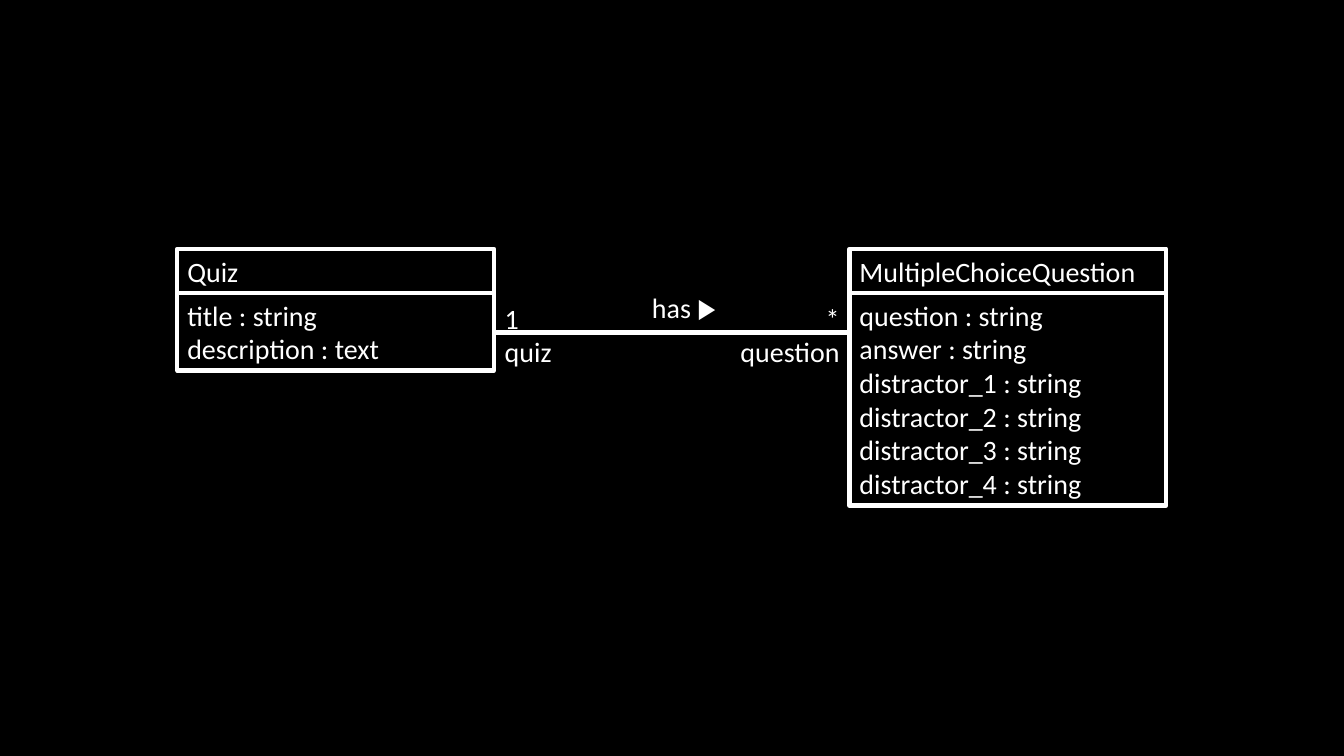
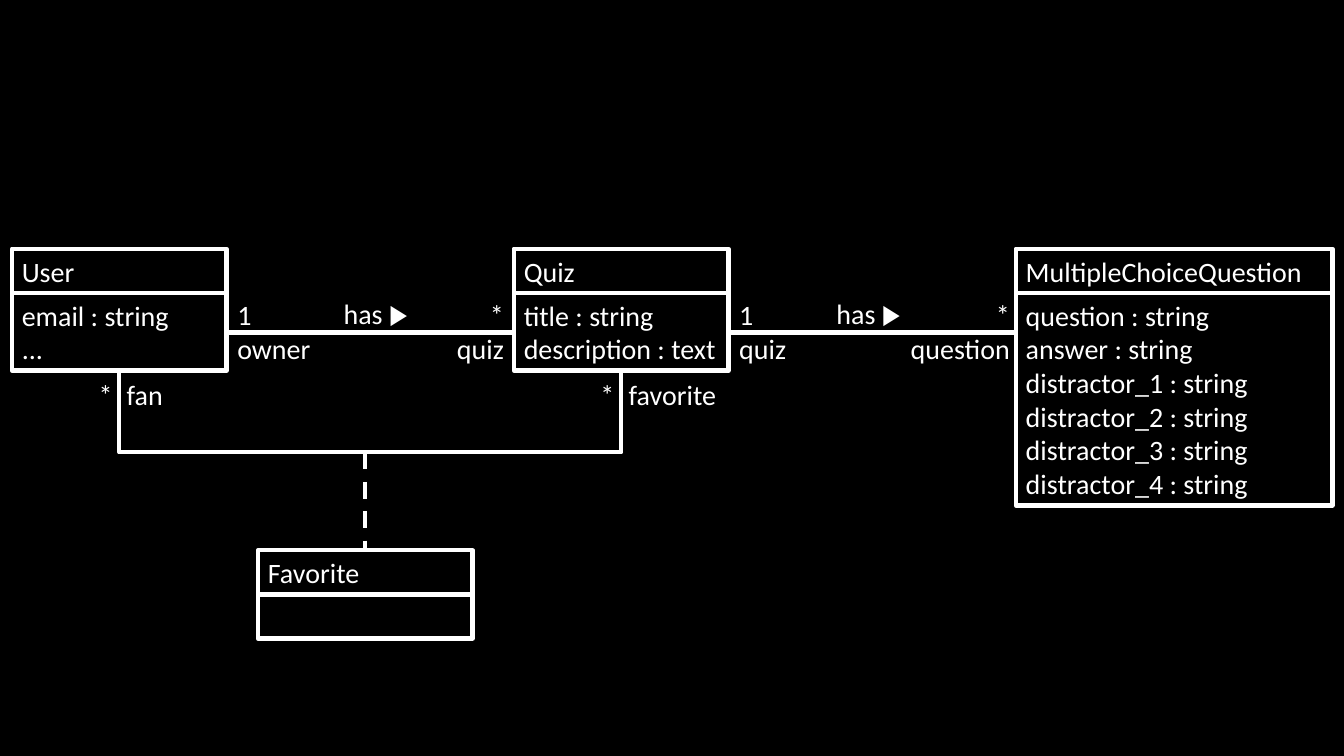
from dataclasses import dataclass

from lxml.etree import SubElement
from pptx import Presentation
from pptx.dml.color import RGBColor
from pptx.enum.dml import MSO_LINE
from pptx.enum.shapes import MSO_CONNECTOR, MSO_SHAPE
from pptx.enum.text import MSO_ANCHOR, PP_ALIGN
from pptx.oxml.ns import qn
from pptx.util import Cm, Pt


@dataclass(frozen=True)
class Theme:
    background: RGBColor = RGBColor(0, 0, 0)
    ink: RGBColor = RGBColor(255, 255, 255)
    font: str = "Calibri"
    size: Pt = Pt(20)
    stroke: Pt = Pt(3)


THEME = Theme()
CLASS_TOP = 6.27
LINK_Y = 8.38
ROLE_WIDTH = 3.05
WIDE, NARROW = 7.98, 5.41

QUIZ = ["title : string", "description : text"]
QUESTION = ["question : string", "answer : string"] + [
    f"distractor_{number} : string" for number in range(1, 5)
]


def text_height(lines):
    return 0.26 + 0.85 * max(1, len(lines))


def write(frame, lines, align=PP_ALIGN.LEFT, anchor=MSO_ANCHOR.TOP):
    frame.word_wrap = True
    frame.vertical_anchor = anchor
    frame.text = "\n".join(lines)
    for paragraph in frame.paragraphs:
        paragraph.alignment = align
        paragraph.font.name = THEME.font
        paragraph.font.size = THEME.size
        paragraph.font.color.rgb = THEME.ink


def draw_stroke(line):
    line.color.rgb = THEME.ink
    line.width = THEME.stroke


def outline(shape):
    shape.shadow.inherit = False
    shape.fill.background()
    draw_stroke(shape.line)


def add_label(slide, left, top, lines, align=PP_ALIGN.LEFT, width=ROLE_WIDTH):
    label = slide.shapes.add_textbox(
        Cm(left), Cm(top), Cm(width), Cm(text_height(lines))
    )
    write(label.text_frame, lines, align)


def add_class(slide, name, attributes, left, width, top=CLASS_TOP):
    compartments = slide.shapes.add_group_shape().shapes
    for lines in ([name], attributes):
        height = text_height(lines)
        compartment = compartments.add_shape(
            MSO_SHAPE.RECTANGLE, Cm(left), Cm(top), Cm(width), Cm(height)
        )
        outline(compartment)
        write(compartment.text_frame, lines, anchor=MSO_ANCHOR.MIDDLE)
        top += height


def add_link(slide, start, end, dash=None):
    link = slide.shapes.add_connector(
        MSO_CONNECTOR.STRAIGHT, *(Cm(value) for value in start + end)
    )
    draw_stroke(link.line)
    if dash:
        link.line.dash_style = dash
    SubElement(link._element.spPr, qn("a:effectLst"))


def add_association(slide, start, end, near, far, verb, role_top, far_shift=0):
    add_link(slide, (start, LINK_Y), (end, LINK_Y))
    verb_left, verb_top = verb
    add_label(slide, verb_left, verb_top, ["has \u25b6\ufe0e"], width=2.29)
    add_label(slide, start + 0.02, role_top, ["1", near])
    far_left = end - ROLE_WIDTH + far_shift
    add_label(slide, far_left, role_top, ["*", far], PP_ALIGN.RIGHT)


def add_bracket(slide, left, right, top, bottom):
    path = slide.shapes.build_freeform(Cm(left), Cm(top))
    corners = [(left, bottom), (right, bottom), (right, top)]
    path.add_line_segments([(Cm(x), Cm(y)) for x, y in corners], close=False)
    outline(path.convert_to_shape())


def add_hanging_role(slide, x, role):
    top = 9.4
    star_width = 1
    add_label(slide, x + 0.08 - star_width, top, ["*"], PP_ALIGN.RIGHT, star_width)
    add_label(slide, x - 0.06, top, [role])


def draw_quiz_model(slide):
    quiz_left, question_left = 4.47, 21.41
    add_class(slide, "MultipleChoiceQuestion", QUESTION, question_left, WIDE)
    add_class(slide, "Quiz", QUIZ, quiz_left, WIDE)
    add_association(slide, quiz_left + WIDE, question_left, "quiz", "question",
                    verb=(16.18, 7.19), role_top=7.47)


def draw_favorite_model(slide):
    user_left, quiz_left, question_left = 0.3, 12.95, 25.6
    favorite_left, favorite_top = 6.5, 13.87
    add_class(slide, "MultipleChoiceQuestion", QUESTION, question_left, WIDE)
    add_class(slide, "Quiz", QUIZ, quiz_left, NARROW)
    add_class(slide, "User", ["email : string", "..."], user_left, NARROW)
    add_association(slide, quiz_left + NARROW, question_left, "quiz", "question",
                    verb=(20.83, 7.34), role_top=7.38, far_shift=0.1)
    add_association(slide, user_left + NARROW, quiz_left, "owner", "quiz",
                    verb=(8.41, 7.34), role_top=7.38)

    fan_x, fans_quiz_x = (left + NARROW / 2 for left in (user_left, quiz_left))
    bracket_y = 11.4
    class_bottom = CLASS_TOP + text_height(["Quiz"]) + text_height(QUIZ)
    add_bracket(slide, fan_x, fans_quiz_x, class_bottom, bracket_y)
    add_hanging_role(slide, fan_x, "fan")
    add_hanging_role(slide, fans_quiz_x, "favorite")

    add_class(slide, "Favorite", [], favorite_left, NARROW, favorite_top)
    favorite_x = favorite_left + NARROW / 2
    add_link(slide, (favorite_x, bracket_y), (favorite_x, favorite_top), MSO_LINE.DASH)


def main():
    deck = Presentation()
    deck.slide_width, deck.slide_height = Cm(33.87), Cm(19.05)
    backdrop = deck.slide_master.background.fill
    backdrop.solid()
    backdrop.fore_color.rgb = THEME.background
    for draw in (draw_quiz_model, draw_favorite_model):
        draw(deck.slides.add_slide(deck.slide_layouts[6]))
    deck.save("out.pptx")


main()
